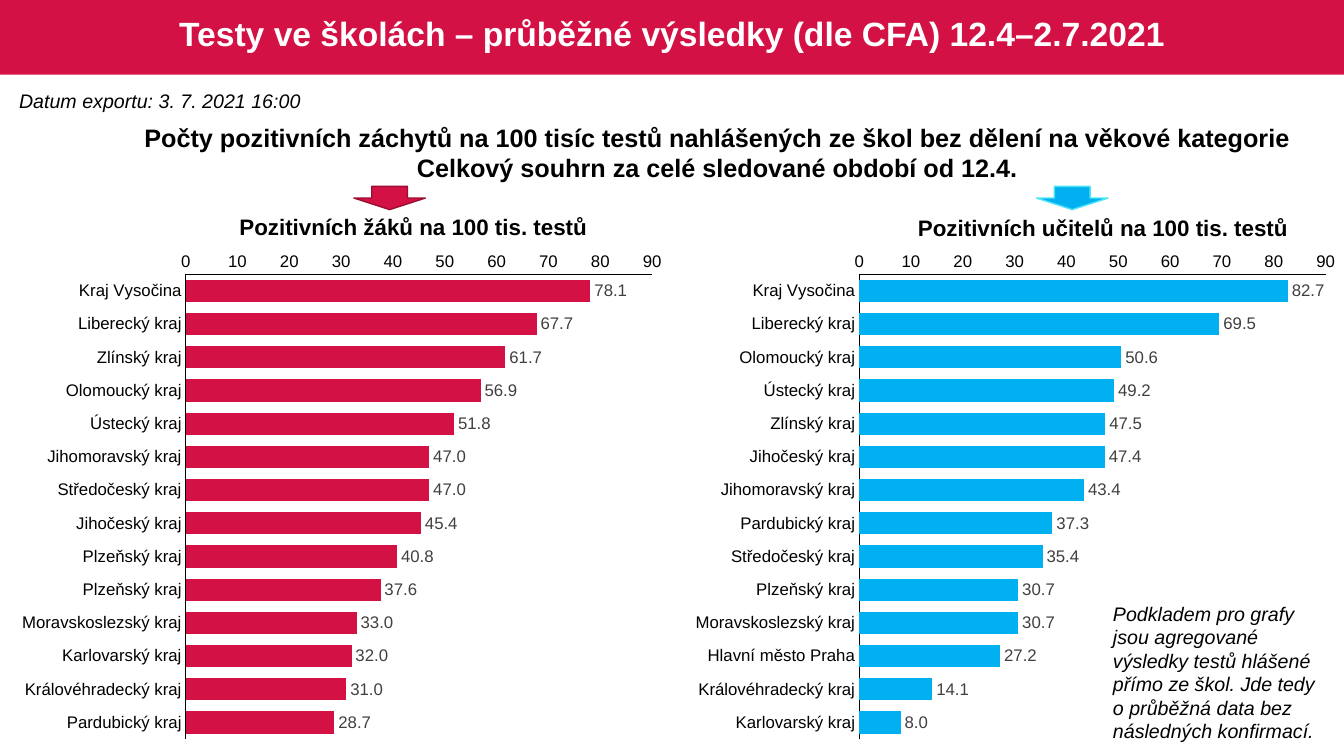
from lxml.etree import SubElement as Sub
from pptx import Presentation
from pptx.chart.data import CategoryChartData as Data
from pptx.dml.color import RGBColor as Rgb
from pptx.enum.chart import XL_CHART_TYPE as Kind, XL_LABEL_POSITION as Spot
from pptx.enum.chart import XL_TICK_MARK as Tick
from pptx.enum.shapes import MSO_SHAPE as Form
from pptx.enum.text import MSO_ANCHOR as Anchor, MSO_AUTO_SIZE as Fit, PP_ALIGN as Align
from pptx.oxml.ns import qn
from pptx.util import Inches, Pt

COLORS = {"red": "D31145", "wine": "9C0D33", "blue": "00B0F0", "aqua": "4DE5F5",
          "black": "000000", "gray": "404040", "white": "FFFFFF"}
PLOT = {"x": 0.265, "y": 0.062, "w": 0.7, "h": 0.917}

PUPILS = [("Kraj Vysočina", 78.1), ("Liberecký kraj", 67.7), ("Zlínský kraj", 61.7),
          ("Olomoucký kraj", 56.9), ("Ústecký kraj", 51.8), ("Jihomoravský kraj", 47),
          ("Středočeský kraj", 47), ("Jihočeský kraj", 45.4), ("Plzeňský kraj", 40.8),
          ("Plzeňský kraj", 37.6), ("Moravskoslezský kraj", 33), ("Karlovarský kraj", 32),
          ("Královéhradecký kraj", 31), ("Pardubický kraj", 28.7)]
STAFF = [("Kraj Vysočina", 82.7), ("Liberecký kraj", 69.5), ("Olomoucký kraj", 50.6),
         ("Ústecký kraj", 49.2), ("Zlínský kraj", 47.5), ("Jihočeský kraj", 47.4),
         ("Jihomoravský kraj", 43.4), ("Pardubický kraj", 37.3), ("Středočeský kraj", 35.4),
         ("Plzeňský kraj", 30.7), ("Moravskoslezský kraj", 30.7), ("Hlavní město Praha", 27.2),
         ("Královéhradecký kraj", 14.1), ("Karlovarský kraj", 8)]


def hue(name):
    return Rgb.from_string(COLORS[name])


def place(at):
    return [Inches(v) for v in at]


class Deck:
    """Holds the style and the current slide."""

    def __init__(self, slide, face="Arial"):
        self.slide, self.shapes, self.face = slide, slide.shapes, face

    def style(self, font, size, color="black", **form):
        form = {"name": self.face, "size": Pt(size), **form}
        for key, val in form.items():
            setattr(font, key, val)
        font.color.rgb = hue(color)

    def shape(self, form, at, fill, line=None):
        item = self.shapes.add_shape(form, *place(at))
        item.shadow.inherit = False
        item.fill.solid()
        item.fill.fore_color.rgb = hue(fill)
        if line:
            item.line.color.rgb = hue(line)
            item.line.width = Pt(1)
        else:
            item.line.fill.background()
        return item

    def title(self, text, at, below):
        item = self.shapes.title
        item.left, item.top, item.width, item.height = place(at)
        frame = item.text_frame
        frame.text = text
        frame.auto_size = Fit.NONE
        frame.vertical_anchor = Anchor.MIDDLE
        para = frame.paragraphs[0]
        para.alignment, para.line_spacing = Align.CENTER, 0.9
        self.style(para.font, 24, "white", bold=True)
        below.element.addnext(item.element)

    def text(self, lines, at, size, align=Align.CENTER, wrap=False, **form):
        frame = self.shapes.add_textbox(*place(at)).text_frame
        frame.word_wrap = wrap
        frame.auto_size = Fit.SHAPE_TO_FIT_TEXT
        frame.text = "\n".join(lines)
        for para in frame.paragraphs:
            para.alignment = align
            self.style(para.font, size, **form)

    def chart(self, rows, at, color):
        data = Data(number_format="#,##0.0")
        data.categories = [name for name, _ in rows]
        data.add_series("Series 1", [val for _, val in rows])
        chart = self.shapes.add_chart(Kind.BAR_CLUSTERED, *place(at), data).chart
        chart.has_legend = chart.has_title = False
        self.style(chart.font, 10)

        # Axes
        for axis in (chart.category_axis, chart.value_axis):
            axis.major_tick_mark = axis.minor_tick_mark = Tick.NONE
            axis.has_major_gridlines = False
            axis.format.line.color.rgb = hue("black")
            axis.format.line.width = Pt(0.75)
            self.style(axis.tick_labels.font, 12)
        chart.category_axis.reverse_order = True
        scale = chart.value_axis
        scale.minimum_scale, scale.maximum_scale, scale.major_unit = 0, 90, 10
        scale.tick_labels.number_format = "0"
        scale.tick_labels.number_format_is_linked = False

        # Bars and values
        plot = chart.plots[0]
        plot.gap_width, plot.vary_by_categories = 50, False
        fill = plot.series[0].format.fill
        fill.solid()
        fill.fore_color.rgb = hue(color)
        plot.has_data_labels = True
        tags = plot.data_labels
        marks = {"show_value": True, "number_format": "#,##0.0",
                 "number_format_is_linked": False, "position": Spot.OUTSIDE_END}
        for key, val in marks.items():
            setattr(tags, key, val)
        self.style(tags.font, 12, "gray")

        # Fixed inner plot area
        area = chart.element.find(".//" + qn("c:plotArea"))
        for old in area.findall(qn("c:layout")):
            area.remove(old)
        box = Sub(area, qn("c:layout"))
        area.insert(0, box)
        inner = Sub(box, qn("c:manualLayout"))
        parts = {"layoutTarget": "inner", "xMode": "edge", "yMode": "edge", **PLOT}
        for key, val in parts.items():
            Sub(inner, qn("c:" + key)).set("val", str(val))


def main():
    show = Presentation()
    show.slide_width, show.slide_height = Inches(13.33), Inches(7.5)
    deck = Deck(show.slides.add_slide(show.slide_layouts[5]))

    # Banner and title
    band = deck.shape(Form.RECTANGLE, (0, 0, 13.33, 0.74), "red")
    deck.title("Testy ve školách – průběžné výsledky (dle CFA) 12.4–2.7.2021",
               (0.18, 0.04, 12.97, 0.63), band)

    # Charts with their headings and arrows
    sides = [
        (PUPILS, 0.09, "Pozitivních žáků na 100 tis. testů", (2.25, 2.07, 3.7, 0.37),
         3.51, "red", "wine"),
        (STAFF, 6.77, "Pozitivních učitelů na 100 tis. testů", (8.98, 2.08, 3.92, 0.37),
         10.28, "blue", "aqua"),
    ]
    for rows, left, head, spot, tip, color, edge in sides:
        deck.chart(rows, (left, 2.41, 6.61, 5.03), color)
        deck.text([head], spot, 16, bold=True)
        deck.shape(Form.DOWN_ARROW, (tip, 1.85, 0.71, 0.23), color, edge)

    # Export date, subtitle and note
    deck.text(["Datum exportu: 3. 7. 2021 16:00"], (0.09, 0.83, 3.01, 0.34), 14,
              Align.LEFT, italic=True)
    deck.text(["Počty pozitivních záchytů na 100 tisíc testů nahlášených ze škol "
               "bez dělení na věkové kategorie",
               "Celkový souhrn za celé sledované období od 12.4."],
              (1.28, 1.16, 11.67, 0.71), 18, bold=True)
    deck.text(["Podkladem pro grafy jsou agregované výsledky testů hlášené přímo ze škol. "
               "Jde tedy o průběžná data bez následných konfirmací."],
              (10.94, 5.92, 2.35, 1.51), 14, Align.LEFT, True, italic=True)

    show.save("out.pptx")


if __name__ == "__main__":
    main()
